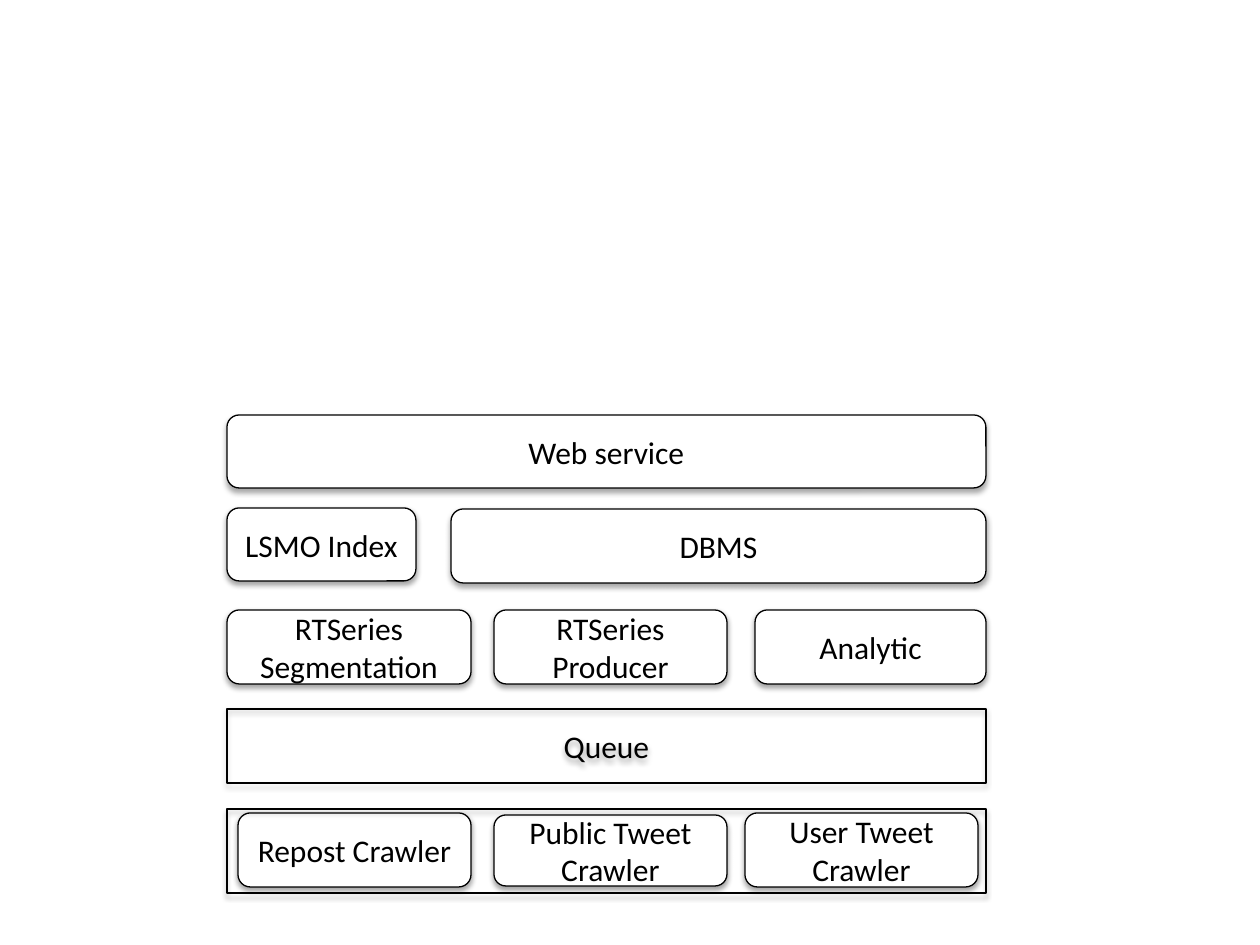
from lxml.etree import SubElement
from pptx import Presentation
from pptx.dml.color import RGBColor
from pptx.enum.shapes import MSO_SHAPE
from pptx.enum.text import MSO_ANCHOR, PP_ALIGN
from pptx.oxml.ns import qn
from pptx.util import Pt

PX = 914400 // 126
COLORS = {"ink": "000000", "paper": "FFFFFF"}
LEFT, WIDTH, HEIGHT = 227, 759, 74
MODULE_W = 233

prs = Presentation()
prs.slide_width, prs.slide_height = 1260 * PX, 945 * PX
s = prs.slides.add_slide(prs.slide_layouts[6])


def write(sp, text, size=18, font="Calibri", color="ink", align=PP_ALIGN.CENTER):
    """Write text into a shape, one paragraph per line."""
    tf = sp.text_frame
    tf.word_wrap = True
    tf.vertical_anchor = MSO_ANCHOR.MIDDLE
    for i, line in enumerate(text.split("\n")):
        p = tf.paragraphs[0] if i == 0 else tf.add_paragraph()
        p.alignment = align
        r = p.add_run()
        r.text = line
        r.font.size, r.font.name = Pt(size), font
        r.font.color.rgb = RGBColor.from_string(COLORS[color])


def add_box(kind, x, y, w, h, fill=None):
    """Add an outlined box with a soft shadow below it."""
    sp = s.shapes.add_shape(kind, x * PX, y * PX, w * PX, h * PX)
    if fill:
        sp.fill.solid()
        sp.fill.fore_color.rgb = RGBColor.from_string(COLORS[fill])
    else:
        sp.fill.background()
    sp.line.color.rgb = RGBColor.from_string(COLORS["ink"])
    sp.line.width = Pt(0.75)
    sp.shadow.inherit = False
    effects = sp._element.spPr.find(qn("a:effectLst"))
    shadow = SubElement(effects, qn("a:outerShdw"), blurRad=str(Pt(3.1)),
                        dist=str(Pt(1.8)), dir="5400000", rotWithShape="0")
    color = SubElement(shadow, qn("a:srgbClr"), val=COLORS["ink"])
    SubElement(color, qn("a:alpha"), val="35000")
    return sp


# Message bus
write(add_box(MSO_SHAPE.RECTANGLE, LEFT, 709, WIDTH, HEIGHT), "Queue")

# Service, storage and processing layers, then the crawlers
modules = [
    ("Web service", LEFT, 415, WIDTH, 73),
    ("LSMO Index", LEFT, 508, 189, 73),
    ("DBMS", 451, 509, 535, HEIGHT),
    ("RTSeries\nSegmentation", LEFT, 610, 244, HEIGHT),
    ("RTSeries\nProducer", 494, 610, MODULE_W, HEIGHT),
    ("Analytic", 755, 610, 231, HEIGHT),
    ("Repost Crawler", 238, 813, MODULE_W, HEIGHT),
    ("Public Tweet Crawler", 494, 815, MODULE_W, 71),
    ("User Tweet Crawler", 745, 813, MODULE_W, HEIGHT),
]
for text, x, y, w, h in modules:
    # The crawler frame lies just under the last module
    if text == modules[-1][0]:
        add_box(MSO_SHAPE.RECTANGLE, LEFT, 809, WIDTH, 84)
    write(add_box(MSO_SHAPE.ROUNDED_RECTANGLE, x, y, w, h, fill="paper"), text)

prs.save("out.pptx")
